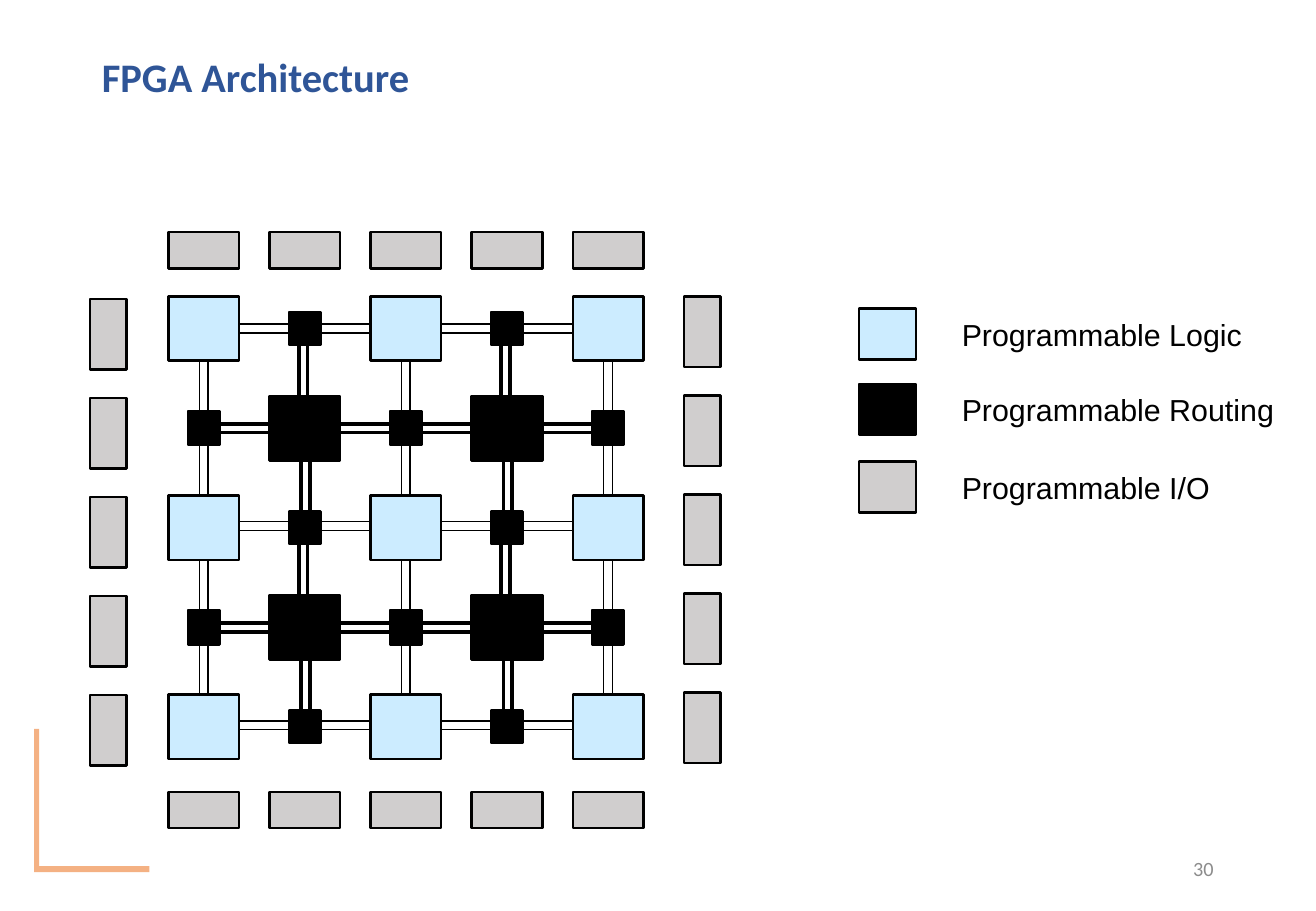
from dataclasses import dataclass
from typing import Optional

from pptx import Presentation
from pptx import util as u
from pptx.dml.color import RGBColor
from pptx.enum import shapes, text
from pptx.oxml.ns import qn
from pptx.slide import Slide

BLACK = RGBColor(0x00, 0x00, 0x00)
LOGIC_BLUE = RGBColor(0xCC, 0xEC, 0xFF)
IO_GRAY = RGBColor(0xD0, 0xCE, 0xCE)
TITLE_BLUE = RGBColor(0x2F, 0x55, 0x97)
NUMBER_GRAY = RGBColor(0x8C, 0x8C, 0x8C)
CORNER_ORANGE = RGBColor(0xF4, 0xB1, 0x83)

# Fabric grid: centre of the first logic block, and the steps between blocks
GRID = 5
FIRST_X, FIRST_Y = 120.8, 194.8
STEP_X, STEP_Y = 59.9, 59.0
WIRE_OFFSET = 2.6
IO_LONG, IO_SHORT = 41.8, 21.6


@dataclass(frozen=True)
class Block:
    """A rectangle given by its centre."""
    x: float
    y: float
    width: float
    height: float
    fill: RGBColor
    outline: Optional[RGBColor] = BLACK


@dataclass(frozen=True)
class Label:
    content: str
    left: float
    top: float
    width: float
    height: float
    font: str
    size: float
    color: RGBColor
    bold: bool = False
    wrap: bool = True
    anchor: text.MSO_ANCHOR = text.MSO_ANCHOR.MIDDLE
    align: text.PP_ALIGN = text.PP_ALIGN.LEFT
    line_spacing: float = 1.0


@dataclass(frozen=True)
class LegendEntry:
    name: str
    fill: RGBColor
    y: float
    width: float


LEGEND = [
    LegendEntry("Programmable Logic", LOGIC_BLUE, 198.0, 182.2),
    LegendEntry("Programmable Routing", BLACK, 242.6, 201.6),
    LegendEntry("Programmable I/O", IO_GRAY, 288.7, 162.7),
]


def draw_block(slide: Slide, block: Block) -> None:
    rect = slide.shapes.add_shape(
        shapes.MSO_SHAPE.RECTANGLE,
        u.Pt(block.x - block.width / 2), u.Pt(block.y - block.height / 2),
        u.Pt(block.width), u.Pt(block.height))
    rect.shadow.inherit = False
    rect.fill.solid()
    rect.fill.fore_color.rgb = block.fill
    if block.outline is None:
        rect.line.fill.background()
    else:
        rect.line.color.rgb = block.outline
        rect.line.width = u.Pt(1.5)


def draw_wire(slide: Slide, x1: float, y1: float, x2: float, y2: float,
              weight: float) -> None:
    wire = slide.shapes.add_connector(
        shapes.MSO_CONNECTOR.STRAIGHT, u.Pt(x1), u.Pt(y1), u.Pt(x2), u.Pt(y2))
    wire.line.color.rgb = BLACK
    wire.line.width = u.Pt(weight)
    properties = wire._element.spPr
    properties.append(properties.makeelement(qn("a:effectLst"), {}))


def draw_label(slide: Slide, label: Label) -> None:
    box = slide.shapes.add_textbox(
        u.Pt(label.left), u.Pt(label.top), u.Pt(label.width), u.Pt(label.height))
    frame = box.text_frame
    frame.text = label.content
    frame.word_wrap = label.wrap
    frame.vertical_anchor = label.anchor
    paragraph = frame.paragraphs[0]
    paragraph.alignment = label.align
    paragraph.line_spacing = label.line_spacing
    font = paragraph.runs[0].font
    font.name = label.font
    font.size = u.Pt(label.size)
    font.bold = label.bold
    font.color.rgb = label.color


def fabric_block(row: int, column: int) -> Block:
    """Logic on even crossings, switches on odd ones, small boxes between."""
    x, y = FIRST_X + column * STEP_X, FIRST_Y + row * STEP_Y
    if row % 2 != column % 2:
        return Block(x, y, 18.7, 20.2 if row % 2 else 19.4, BLACK)
    return Block(x, y, 41.8, 38.2, BLACK if row % 2 else LOGIC_BLUE)


def draw_fabric(slide: Slide) -> None:
    for row in range(GRID):
        for column in range(GRID):
            block = fabric_block(row, column)
            for offset in (-WIRE_OFFSET, WIRE_OFFSET):
                # Wires to the right
                if column < GRID - 1:
                    right = fabric_block(row, column + 1)
                    y = block.y + offset - (1 if row in (2, 4) else 0)
                    draw_wire(slide, block.x + block.width / 2, y,
                              right.x - right.width / 2, y,
                              2.25 if row % 2 else 1)
                # Wires downwards
                if row < GRID - 1:
                    below = fabric_block(row + 1, column)
                    shift = (0.5 if row % 2 else -1) if column % 2 else 0
                    x = block.x + offset + shift
                    draw_wire(slide, x, block.y + block.height / 2,
                              x, below.y - below.height / 2,
                              2.25 if column % 2 else 1)
            draw_block(slide, block)


def draw_io_ring(slide: Slide) -> None:
    for index in range(GRID):
        for y in (148.3, 480.2):
            draw_block(slide, Block(FIRST_X + index * STEP_X, y,
                                    IO_LONG, IO_SHORT, IO_GRAY))
        for x, first_y in ((64.1, 198.0), (416.2, 196.6)):
            draw_block(slide, Block(x, first_y + index * 58.7,
                                    IO_SHORT, IO_LONG, IO_GRAY))


def draw_legend(slide: Slide) -> None:
    for entry in LEGEND:
        draw_block(slide, Block(526, entry.y, 33.8, 30.2, entry.fill))
        draw_label(slide, Label(entry.name, 563, entry.y - 14.4, entry.width, 28.8,
                                "Arial", 18, BLACK, wrap=False,
                                anchor=text.MSO_ANCHOR.TOP))


def main() -> None:
    presentation = Presentation()
    presentation.slide_width, presentation.slide_height = u.Pt(780), u.Pt(540)
    slide = presentation.slides.add_slide(presentation.slide_layouts[6])

    # Corner ornament
    draw_block(slide, Block(54.4, 515.2, 68.4, 3.6, CORNER_ORANGE, None))
    draw_block(slide, Block(21.7, 474.1, 3, 84.2, CORNER_ORANGE, None))

    # Title
    draw_label(slide, Label("FPGA Architecture", 53.3, 24.5, 531.4, 44.6, "Calibri",
                            24, TITLE_BLUE, bold=True, line_spacing=0.9))

    # Diagram and legend
    draw_fabric(slide)
    draw_io_ring(slide)
    draw_legend(slide)

    # Slide number
    draw_label(slide, Label("30", 550.8, 500.4, 175.7, 28.8, "Calibri", 12,
                            NUMBER_GRAY, align=text.PP_ALIGN.RIGHT))

    presentation.save("out.pptx")


if __name__ == "__main__":
    main()
